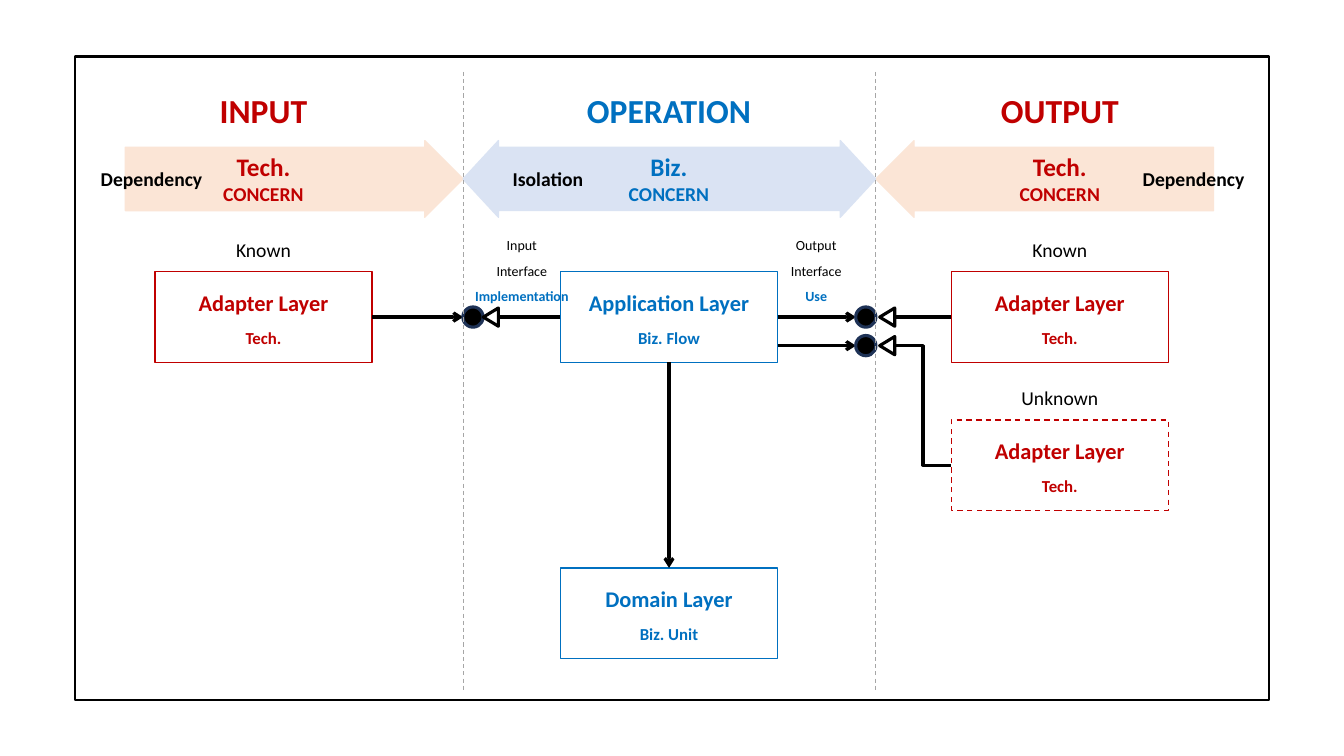
from dataclasses import dataclass

import pptx
import pptx.dml.color
import pptx.enum.dml
import pptx.enum.shapes
import pptx.enum.text
import pptx.oxml
import pptx.oxml.ns
import pptx.util
from pptx.util import Cm, Pt

SHAPE = pptx.enum.shapes.MSO_SHAPE
CONNECTOR = pptx.enum.shapes.MSO_CONNECTOR
DASH = pptx.enum.dml.MSO_LINE.DASH
TOP, LEFT, BOTTOM, RIGHT = range(4)


@dataclass(frozen=True)
class Theme:
    font: str = "Calibri"
    tech: str = "C00000"
    business: str = "0070C0"
    ink: str = "000000"
    paper: str = "FFFFFF"
    tech_band: str = "FBE5D6"
    business_band: str = "DAE3F3"
    port_edge: str = "1E3256"
    divider: str = "A6A6A6"
    heading: int = 24
    concern: int = 18
    layer: int = 16
    label: int = 14
    detail: int = 12
    note: int = 10
    thin: float = 0.75
    outline: float = 1
    frame: float = 1.5
    flow: float = 2.25


def rgb(color):
    return pptx.dml.color.RGBColor.from_string(color)


class Diagram:
    """Draws on one slide; all lengths are centimetres."""

    box_width, box_height = 5.47, 2.28

    def __init__(self, slide, theme):
        self.shapes = slide.shapes
        self.theme = theme

    def shape(self, kind, center, size, line, weight, fill=None, rotation=0):
        (x, y), (width, height) = center, size
        shape = self.shapes.add_shape(
            kind, Cm(x - width / 2), Cm(y - height / 2), Cm(width), Cm(height))
        shape.shadow.inherit = False
        shape.rotation = rotation
        if fill:
            shape.fill.solid()
            shape.fill.fore_color.rgb = rgb(fill)
        else:
            shape.fill.background()
        shape.line.color.rgb = rgb(line)
        shape.line.width = Pt(weight)
        return shape

    def band(self, kind, left, right, color, adjustments, rotation=0):
        shape = self.shape(kind, ((left + right) / 2, 4.51), (right - left, 1.93),
                           color, self.theme.outline, color, rotation)
        for index, value in enumerate(adjustments):
            shape.adjustments[index] = value

    def text(self, center, width, lines, spacing=1):
        """Centre lines of (text, size, color, bold) on a point."""
        x, y = center
        height = sum(size for _, size, _, _ in lines) * 1.2 * spacing / 72 * 2.54 + 0.25
        box = self.shapes.add_textbox(
            Cm(x - width / 2), Cm(y - height / 2), Cm(width), Cm(height))
        frame = box.text_frame
        frame.word_wrap = False
        frame.auto_size = pptx.enum.text.MSO_AUTO_SIZE.SHAPE_TO_FIT_TEXT
        frame.text = "\n".join(line[0] for line in lines)
        for paragraph, (_, size, color, bold) in zip(frame.paragraphs, lines):
            paragraph.alignment = pptx.enum.text.PP_ALIGN.CENTER
            paragraph.line_spacing = spacing
            paragraph.font.name = self.theme.font
            paragraph.font.size = Pt(size)
            paragraph.font.bold = bold
            paragraph.font.color.rgb = rgb(color)

    def column_title(self, x, heading, width, concern, color):
        theme = self.theme
        self.text((x, 2.77), width, [(heading, theme.heading, color, True)])
        self.text((x, 4.49), 2.8, [(concern, theme.concern, color, True),
                                   ("CONCERN", theme.label, color, True)])

    def layer(self, x, top, name, detail, color, caption=None, dashed=False):
        theme = self.theme
        box = self.shape(SHAPE.RECTANGLE, (x, top + self.box_height / 2),
                         (self.box_width, self.box_height), color, theme.outline)
        if dashed:
            box.line.dash_style = DASH
        self.text((x, top + 0.77), 5.2, [(name, theme.layer, color, True)])
        self.text((x, top + 1.66), 3, [(detail, theme.detail, color, True)])
        if caption:
            self.text((x, top - 0.57), 3, [(caption, theme.label, theme.ink, False)])
        return box

    def connector(self, begin, end, color, weight, arrow=False, kind=CONNECTOR.STRAIGHT):
        """Each end is a point (x, y) or a joined side (box, side)."""
        def is_joined(target):
            return not isinstance(target[0], (int, float))

        points = [(0, 0) if is_joined(target) else target for target in (begin, end)]
        line = self.shapes.add_connector(kind, *(Cm(n) for point in points for n in point))
        if is_joined(begin):
            line.begin_connect(*begin)
        if is_joined(end):
            line.end_connect(*end)
        line.line.color.rgb = rgb(color)
        line.line.width = Pt(weight)
        if arrow:
            tail = pptx.oxml.parse_xml(
                f'<a:tailEnd {pptx.oxml.ns.nsdecls("a")} type="arrow"/>')
            line.line._get_or_add_ln().append(tail)
        effects = pptx.oxml.parse_xml(f'<a:effectLst {pptx.oxml.ns.nsdecls("a")}/>')
        line._element.spPr.append(effects)
        return line

    def flow(self, begin, end, arrow=False, kind=CONNECTOR.STRAIGHT):
        self.connector(begin, end, self.theme.ink, self.theme.flow, arrow, kind)

    def port(self, circle_x, triangle_x, y):
        theme = self.theme
        self.shape(SHAPE.OVAL, (circle_x, y), (0.51, 0.51),
                   theme.port_edge, theme.flow, theme.ink)
        self.shape(SHAPE.ISOSCELES_TRIANGLE, (triangle_x, y), (0.46, 0.38),
                   theme.ink, theme.flow, theme.paper, 270)

    def interface_note(self, x, width, direction, role):
        theme = self.theme
        self.text((x, 6.71), width, [
            (direction, theme.note, theme.ink, False),
            ("Interface", theme.note, theme.ink, False),
            (role, theme.note, theme.business, True)], spacing=1.5)


def main():
    presentation = pptx.Presentation()
    presentation.slide_width, presentation.slide_height = Cm(33.87), Cm(19.05)
    slide = presentation.slides.add_slide(presentation.slide_layouts[6])
    theme = Theme()
    diagram = Diagram(slide, theme)

    input_x, operation_x, output_x = 6.64, 16.86, 26.71
    left_divider, right_divider = 11.67, 22.07
    main_top, row_step = 6.85, 3.73
    main_lane, second_lane = main_top + diagram.box_height / 2, 8.71

    band_width = 8.51
    single = (0.827, 0.5)
    diagram.band(SHAPE.RIGHT_ARROW, right_divider, right_divider + band_width,
                 theme.tech_band, single, rotation=180)
    diagram.band(SHAPE.RIGHT_ARROW, left_divider - band_width, left_divider,
                 theme.tech_band, single)
    diagram.band(SHAPE.LEFT_RIGHT_ARROW, left_divider, right_divider,
                 theme.business_band, (0.824, 0.463))
    diagram.column_title(input_x, "INPUT", 3.2, "Tech.", theme.tech)
    diagram.column_title(operation_x, "OPERATION", 5.2, "Biz.", theme.business)
    diagram.column_title(output_x, "OUTPUT", 4, "Tech.", theme.tech)
    diagram.shape(SHAPE.RECTANGLE, (16.93, 9.53), (30.1, 16.21), theme.ink, theme.frame)

    adapter = ("Adapter Layer", "Tech.", theme.tech)
    input_adapter = diagram.layer(input_x, main_top, *adapter, "Known")
    known_adapter = diagram.layer(output_x, main_top, *adapter, "Known")
    unknown_adapter = diagram.layer(output_x, main_top + row_step, *adapter,
                                    "Unknown", dashed=True)
    application = diagram.layer(operation_x, main_top, "Application Layer",
                                "Biz. Flow", theme.business)
    domain = diagram.layer(operation_x, main_top + 2 * row_step, "Domain Layer",
                           "Biz. Unit", theme.business)

    input_port, output_port = left_divider + 0.25, right_divider - 0.25
    input_triangle, output_triangle = 12.37, 22.36
    radius, triangle_base = 0.25, 0.19
    diagram.flow((input_adapter, RIGHT), (input_port - radius, main_lane), arrow=True)
    diagram.flow((application, LEFT), (input_triangle + triangle_base, main_lane))
    diagram.flow((application, RIGHT), (output_port - radius, main_lane), arrow=True)
    diagram.flow((known_adapter, LEFT), (output_triangle + triangle_base, main_lane))
    diagram.flow((operation_x + diagram.box_width / 2, second_lane),
                 (output_port - radius, second_lane), arrow=True)
    diagram.flow((output_triangle + triangle_base, second_lane),
                 (unknown_adapter, LEFT), kind=CONNECTOR.ELBOW)
    diagram.flow((application, BOTTOM), (domain, TOP), arrow=True)
    diagram.port(input_port, input_triangle, main_lane)
    for lane in (main_lane, second_lane):
        diagram.port(output_port, output_triangle, lane)

    diagram.interface_note(13.15, 3.4, "Input", "Implementation")
    diagram.interface_note(20.57, 2.2, "Output", "Use")
    for x in (left_divider, right_divider):
        divider = diagram.connector((x, 1.81), (x, 17.45), theme.divider, theme.thin)
        divider.line.dash_style = DASH
    for x, label in ((13.81, "Isolation"), (30.08, "Dependency"), (3.82, "Dependency")):
        diagram.text((x, 4.5), 3.6, [(label, theme.label, theme.ink, True)])

    presentation.save("out.pptx")


if __name__ == "__main__":
    main()
